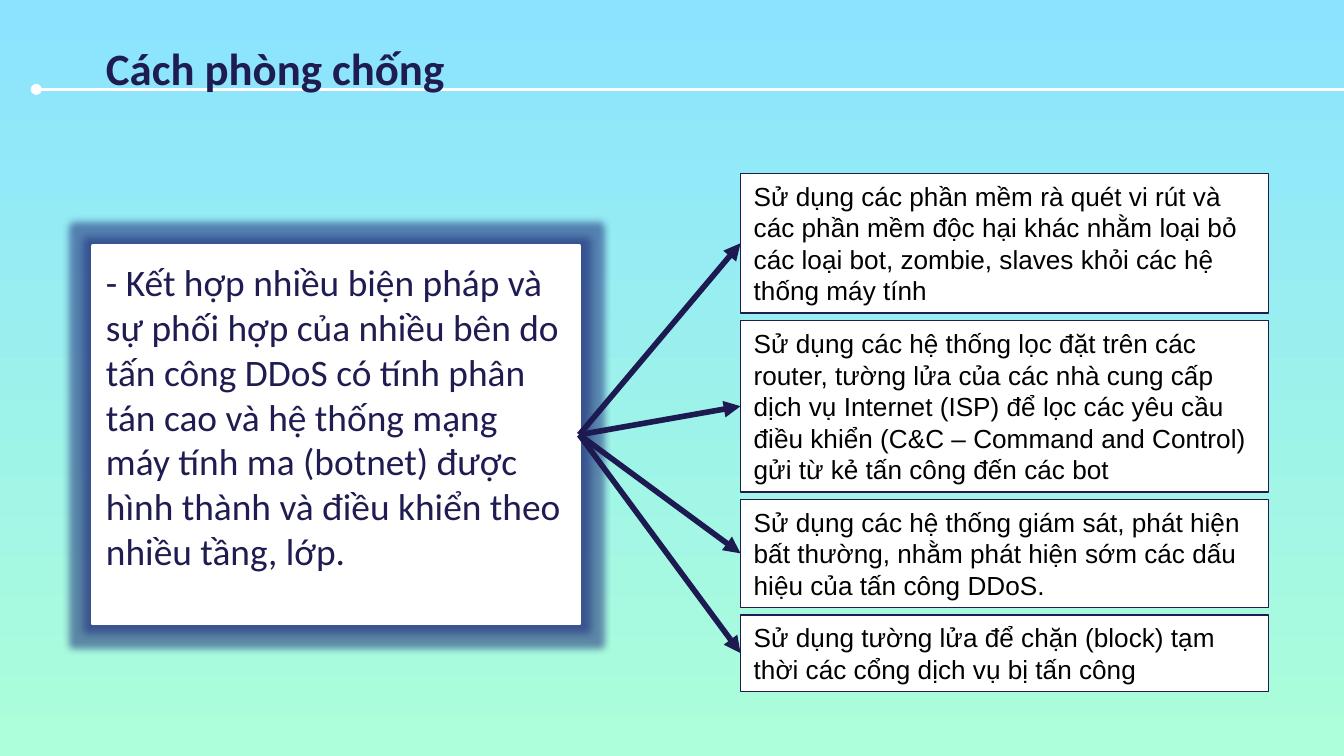
from dataclasses import dataclass
from itertools import accumulate

from lxml import etree
from pptx import Presentation
from pptx.dml.color import RGBColor
from pptx.enum.shapes import MSO_CONNECTOR, MSO_SHAPE
from pptx.enum.text import MSO_ANCHOR, PP_ALIGN
from pptx.oxml.ns import qn
from pptx.util import Inches, Pt

RECTANGLE = MSO_SHAPE.RECTANGLE
STRAIGHT = MSO_CONNECTOR.STRAIGHT
LEFT = PP_ALIGN.LEFT
TOP, MIDDLE = MSO_ANCHOR.TOP, MSO_ANCHOR.MIDDLE

# The slide is a 16:9 grid of square cells, 100 columns wide
COLUMNS = 100
ROWS = COLUMNS * 9 / 16
CELL = Inches(10) / COLUMNS

NAVY, ARROW_NAVY, GLOW_BLUE = "1F1C51", "1D1A51", "1F2C7A"
WHITE, BLACK = "FFFFFF", "000000"
SKY, MINT = "8BE3FF", "ACFFD9"


@dataclass(frozen=True)
class Area:
    column: float
    row: float
    width: float
    height: float

    @property
    def middle_row(self) -> float:
        return self.row + self.height / 2


@dataclass(frozen=True)
class TextStyle:
    font: str
    size: float
    colour: str
    bold: bool = False
    anchor: object = TOP
    inset: tuple = (1, 1)


@dataclass(frozen=True)
class Measure:
    text: str
    lines: int


TITLE_STYLE = TextStyle("Calibri", 24, NAVY, bold=True)
SUMMARY_STYLE = TextStyle("Calibri", 20, NAVY)
MEASURE_STYLE = TextStyle("Arial", 14, BLACK, anchor=MIDDLE, inset=(1, 0.5))

TITLE_AREA = Area(6.9, 2, 66.5, 5.9)
SUMMARY_AREA = Area(6.9, 18.3, 36.2, 28.1)
RULE_ROW = 6.65

# Measures stack downwards; each height follows from its number of lines
STACK_COLUMN, STACK_ROW, STACK_WIDTH = 55.1, 12.9, 39.3
LINE_ROWS, PADDING_ROWS, GAP_ROWS = 2.35, 1, 0.55

SUMMARY = ("- Kết hợp nhiều biện pháp và sự phối hợp của nhiều bên do tấn công DDoS "
           "có tính phân tán cao và hệ thống mạng máy tính ma (botnet) được hình "
           "thành và điều khiển theo nhiều tầng, lớp.")
MEASURES = [
    Measure("Sử dụng các phần mềm rà quét vi rút và các phần mềm độc hại khác nhằm "
            "loại bỏ các loại bot, zombie, slaves khỏi các hệ thống máy tính", 4),
    Measure("Sử dụng các hệ thống lọc đặt trên các router, tường lửa của các nhà cung "
            "cấp dịch vụ Internet (ISP) để lọc các yêu cầu điều khiển (C&C – Command "
            "and Control) gửi từ kẻ tấn công đến các bot", 5),
    Measure("Sử dụng các hệ thống giám sát, phát hiện bất thường, nhằm phát hiện sớm "
            "các dấu hiệu của tấn công DDoS.", 3),
    Measure("Sử dụng tường lửa để chặn (block) tạm thời các cổng dịch vụ bị tấn công", 2),
]


def cells(count: float) -> int:
    return round(count * CELL)


def colour(hex_value: str) -> RGBColor:
    return RGBColor.from_string(hex_value)


def apply(target, values: dict) -> None:
    for name, value in values.items():
        setattr(target, name, value)


def bounds(area: Area) -> tuple:
    return tuple(cells(n) for n in (area.column, area.row, area.width, area.height))


def write_text(shape, text: str, style: TextStyle) -> None:
    side, end = (cells(n) for n in style.inset)
    frame = shape.text_frame
    apply(frame, {"word_wrap": True, "vertical_anchor": style.anchor,
                  "margin_left": side, "margin_right": side,
                  "margin_top": end, "margin_bottom": end})
    paragraph = frame.paragraphs[0]
    paragraph.alignment = LEFT
    run = paragraph.add_run()
    run.text = text
    apply(run.font, {"name": style.font, "size": Pt(style.size), "bold": style.bold})
    run.font.color.rgb = colour(style.colour)


def add_box(slide, area: Area, text: str, style: TextStyle,
            line_colour: str, line_width: float):
    shape = slide.shapes.add_shape(RECTANGLE, *bounds(area))
    shape.shadow.inherit = False
    shape.fill.solid()
    shape.fill.fore_color.rgb = colour(WHITE)
    shape.line.color.rgb = colour(line_colour)
    shape.line.width = Pt(line_width)
    write_text(shape, text, style)
    return shape


def add_glow(shape, hex_value: str, radius: float, opacity: int) -> None:
    effects = shape._element.spPr.find(qn("a:effectLst"))
    glow = etree.SubElement(effects, qn("a:glow"), rad=str(Pt(radius)))
    tint = etree.SubElement(glow, qn("a:srgbClr"), val=hex_value)
    etree.SubElement(tint, qn("a:alpha"), val=str(opacity * 1000))


def add_line(slide, start: tuple, end: tuple, line_colour: str, width: float,
             ending: str, ending_type: str) -> None:
    connector = slide.shapes.add_connector(
        STRAIGHT, *(cells(n) for n in (*start, *end)))
    connector.line.color.rgb = colour(line_colour)
    connector.line.width = Pt(width)
    etree.SubElement(connector.line._get_or_add_ln(), qn(ending), type=ending_type)
    etree.SubElement(connector._element.spPr, qn("a:effectLst"))


def paint_background(slide) -> None:
    fill = slide.background.fill
    fill.gradient()
    fill.gradient_angle = 270
    for stop, position, hex_value in zip(fill.gradient_stops, (0, 1), (SKY, MINT)):
        stop.position = position
        stop.color.rgb = colour(hex_value)


def measure_areas() -> list[Area]:
    heights = [PADDING_ROWS + LINE_ROWS * measure.lines for measure in MEASURES]
    rows = accumulate((height + GAP_ROWS for height in heights), initial=STACK_ROW)
    return [Area(STACK_COLUMN, row, STACK_WIDTH, height)
            for row, height in zip(rows, heights)]


def main() -> None:
    presentation = Presentation()
    apply(presentation, {"slide_width": cells(COLUMNS), "slide_height": cells(ROWS)})
    slide = presentation.slides.add_slide(presentation.slide_layouts[6])
    paint_background(slide)

    # Title over its rule
    add_line(slide, (2.7, RULE_ROW), (COLUMNS, RULE_ROW), WHITE, 1.5,
             "a:headEnd", "oval")
    title = slide.shapes.add_textbox(*bounds(TITLE_AREA))
    write_text(title, "Cách phòng chống", TITLE_STYLE)

    # Glowing summary card
    summary = add_box(slide, SUMMARY_AREA, SUMMARY, SUMMARY_STYLE, WHITE, 2)
    add_glow(summary, GLOW_BLUE, 8, 55)

    # Arrows from the card to each measure
    areas = measure_areas()
    origin = (SUMMARY_AREA.column + SUMMARY_AREA.width, SUMMARY_AREA.middle_row)
    for area in areas:
        add_line(slide, origin, (area.column, area.middle_row), ARROW_NAVY, 3,
                 "a:tailEnd", "triangle")

    # Measures
    for area, measure in zip(areas, MEASURES):
        add_box(slide, area, measure.text, MEASURE_STYLE, NAVY, 0.75)

    presentation.save("out.pptx")


if __name__ == "__main__":
    main()
